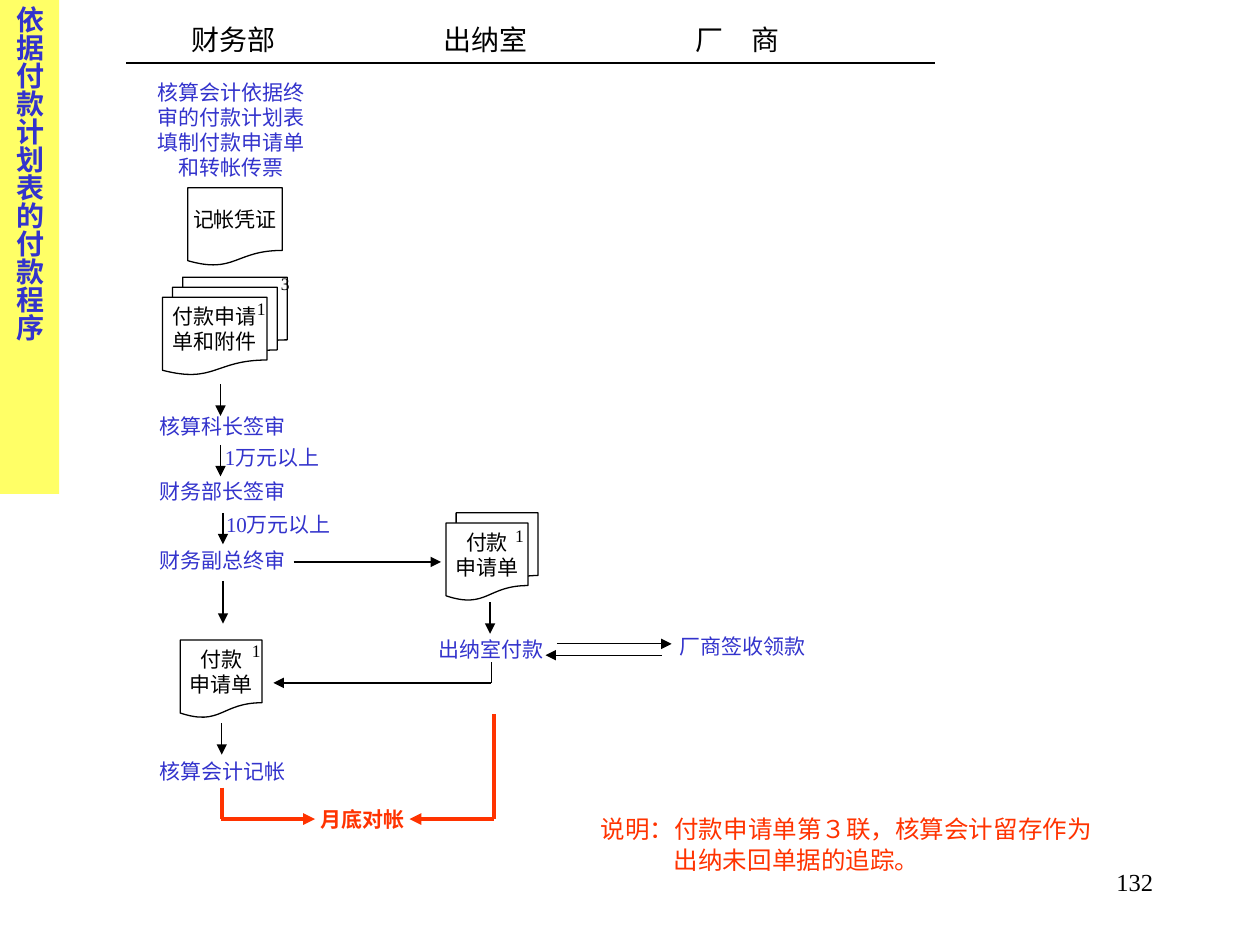
import dataclasses
import pptx
import pptx.util
import pptx.dml.color
import pptx.enum.shapes
import pptx.enum.text
import pptx.oxml.ns
import lxml.etree

PX = 9144
ALIGN = pptx.enum.text.PP_ALIGN
ANCHOR = pptx.enum.text.MSO_ANCHOR
SHAPE = pptx.enum.shapes.MSO_SHAPE
LINK = pptx.enum.shapes.MSO_CONNECTOR


@dataclasses.dataclass(frozen=True)
class Theme:
    font: str = "Times New Roman"
    ink: str = "000000"
    blue: str = "3333CC"
    red: str = "FF3300"
    paper: str = "FFFFFF"
    yellow: str = "FFFF66"
    head: int = 16
    note: int = 14
    body: int = 12
    tag: int = 10
    thin: float = 0.75
    thick: float = 2.25


THEME = Theme()


def rgb(code):
    return pptx.dml.color.RGBColor.from_string(code)


def child(node, tag, **attrs):
    return lxml.etree.SubElement(node, pptx.oxml.ns.qn(tag), attrs)


def write(frame, lines, size, color, align, bold=False):
    for i, line in enumerate(lines):
        para = frame.paragraphs[0] if i == 0 else frame.add_paragraph()
        para.alignment = align
        run = para.add_run()
        run.text = line
        font = run.font
        font.name = THEME.font
        font.size = pptx.util.Pt(size)
        font.bold = bold
        font.color.rgb = rgb(color)


class Pane:
    def __init__(self, slide, box):
        self.shapes = slide.shapes
        self.x, self.y, self.w, self.h = box

    def place(self, x, y):
        return (self.x + x) * PX, (self.y + y) * PX

    def text(self, x, y, w, h, lines, size=THEME.body, color=THEME.blue,
             align=ALIGN.CENTER, bold=False):
        box = self.shapes.add_textbox(*self.place(x, y), w * PX, h * PX)
        box.text_frame.word_wrap = True
        write(box.text_frame, lines, size, color, align, bold)
        return box.text_frame

    def tag(self, x, y, word):
        self.text(x, y, 25, 27, [word], THEME.tag, THEME.ink, ALIGN.LEFT)

    def line(self, x1, y1, x2, y2, arrow=True, color=THEME.ink,
             width=THEME.thin):
        link = self.shapes.add_connector(
            LINK.STRAIGHT, *self.place(x1, y1), *self.place(x2, y2))
        link.line.color.rgb = rgb(color)
        link.line.width = pptx.util.Pt(width)
        if arrow:
            child(link.line._get_or_add_ln(), "a:tailEnd", type="triangle")
        child(link._element.spPr, "a:effectLst")

    def doc(self, x, y, w, lines, count=1, step=8):
        for i in reversed(range(count)):
            spot = self.place(x + i * step, y - i * step)
            form = self.shapes.add_shape(
                SHAPE.FLOWCHART_DOCUMENT, *spot, w * PX, 62 * PX)
            form.shadow.inherit = False
            form.fill.solid()
            form.fill.fore_color.rgb = rgb(THEME.paper)
            form.line.color.rgb = rgb(THEME.ink)
            form.line.width = pptx.util.Pt(THEME.thin)
        frame = form.text_frame
        frame.word_wrap = False
        frame.vertical_anchor = ANCHOR.MIDDLE
        write(frame, lines, THEME.body, THEME.ink, ALIGN.CENTER)


def banner(slide, box):
    title = slide.shapes.title
    title.left, title.top, title.width, title.height = [n * PX for n in box]
    title.fill.solid()
    title.fill.fore_color.rgb = rgb(THEME.yellow)
    frame = title.text_frame
    frame.auto_size = pptx.enum.text.MSO_AUTO_SIZE.NONE
    frame.vertical_anchor = ANCHOR.TOP
    frame._txBody.bodyPr.set("vert", "eaVert")
    write(frame, ["依据付款计划表的付款程序"], THEME.head, THEME.blue,
          ALIGN.JUSTIFY, True)


def header(slide, box):
    pane = Pane(slide, box)
    frame = pane.text(42, 0, 542, 37, ["财务部\t出纳室\t厂　商"],
                      THEME.head, THEME.ink, ALIGN.LEFT)
    tabs = child(frame.paragraphs[0]._p.get_or_add_pPr(), "a:tabLst")
    for stop in (200, 400):
        child(tabs, "a:tab", pos=str(stop * PX), algn="l")
    pane.line(0, pane.h, pane.w, pane.h, False)


def finance(slide, box):
    pane = Pane(slide, box)
    pane.text(10, 0, 147, 90,
              ["核算会计依据终审的付款计划表填制付款申请单和转帐传票"])
    pane.doc(49, 91, 75, ["记帐凭证"])
    pane.doc(29, 178, 83, ["付款申请", "单和附件"], 3)
    pane.tag(94, 174, "1")
    pane.tag(113, 154, "3")
    steps = [(265, "核算科长签审"), (317, "财务部长签审"),
             (372, "财务副总终审"), (539, "核算会计记帐")]
    for y, word in steps:
        pane.text(2, y, 150, 30, [word])
    pane.text(62, 290, 108, 30, ["1万元以上"])
    pane.text(67, 343, 108, 30, ["10万元以上"])
    pane.doc(43, 450, 65, ["付款", "申请单"])
    pane.tag(90, 445, "1")
    arrows = [(75, 247, 25), (75, 295, 25), (77, 349, 25),
              (77, 403, 34), (76, 516, 25)]
    for x, y, h in arrows:
        pane.line(x, y, x, y + h)
    pane.line(133, 388, 250, 388)


def cashier(slide, box):
    pane = Pane(slide, box)
    pane.doc(39, 9, 65, ["付款", "申请单"], 2)
    pane.tag(84, 6, "1")
    pane.line(74, 72, 74, 97)
    pane.text(0, 94, 150, 30, ["出纳室付款"])
    pane.line(75, 136, 75, 119, False)
    pane.line(75, 136, -98, 136)


def vendor(slide, box):
    pane = Pane(slide, box)
    pane.line(9, 13, 100, 13)
    pane.line(92, 22, 0, 22)
    pane.text(85, 0, 142, 30, ["厂商签收领款"])


def tally(slide, box):
    pane = Pane(slide, box)
    pen = {"color": THEME.red, "width": THEME.thick}
    pane.line(0, 58, 0, pane.h, False, **pen)
    pane.line(pane.w, 0, pane.w, pane.h, False, **pen)
    pane.line(-1, pane.h, 74, pane.h, **pen)
    pane.line(pane.w, pane.h, 149, pane.h, **pen)
    pane.text(41, 68, 142, 30, ["月底对帐"], color=THEME.red, bold=True)


def remark(slide, box):
    pane = Pane(slide, box)
    frame = pane.text(
        0, 0, pane.w, pane.h,
        ["说明：付款申请单第３联，核算会计留存作为", "出纳未回单据的追踪。"],
        THEME.note, THEME.red, ALIGN.LEFT)
    last = frame.paragraphs[1]
    last.line_spacing = 0.6
    last.space_before = pptx.util.Pt(THEME.note / 2)
    last._p.get_or_add_pPr().set("marL", str(58 * PX))


def folio(slide, box):
    pane = Pane(slide, box)
    pane.text(0, 0, pane.w, pane.h, ["132"], THEME.note, THEME.ink,
              ALIGN.RIGHT)


def main():
    deck = pptx.Presentation()
    deck.slide_width, deck.slide_height = 1000 * PX, 750 * PX
    slide = deck.slides.add_slide(deck.slide_layouts[5])
    banner(slide, (0, 0, 47, 392))
    header(slide, (100, 13, 642, 37))
    finance(slide, (100, 58, 175, 569))
    cashier(slide, (315, 406, 150, 136))
    vendor(slide, (433, 498, 227, 30))
    tally(slide, (176, 567, 216, 83))
    remark(slide, (467, 641, 425, 59))
    folio(slide, (717, 683, 208, 50))
    deck.save("out.pptx")


if __name__ == "__main__":
    main()
